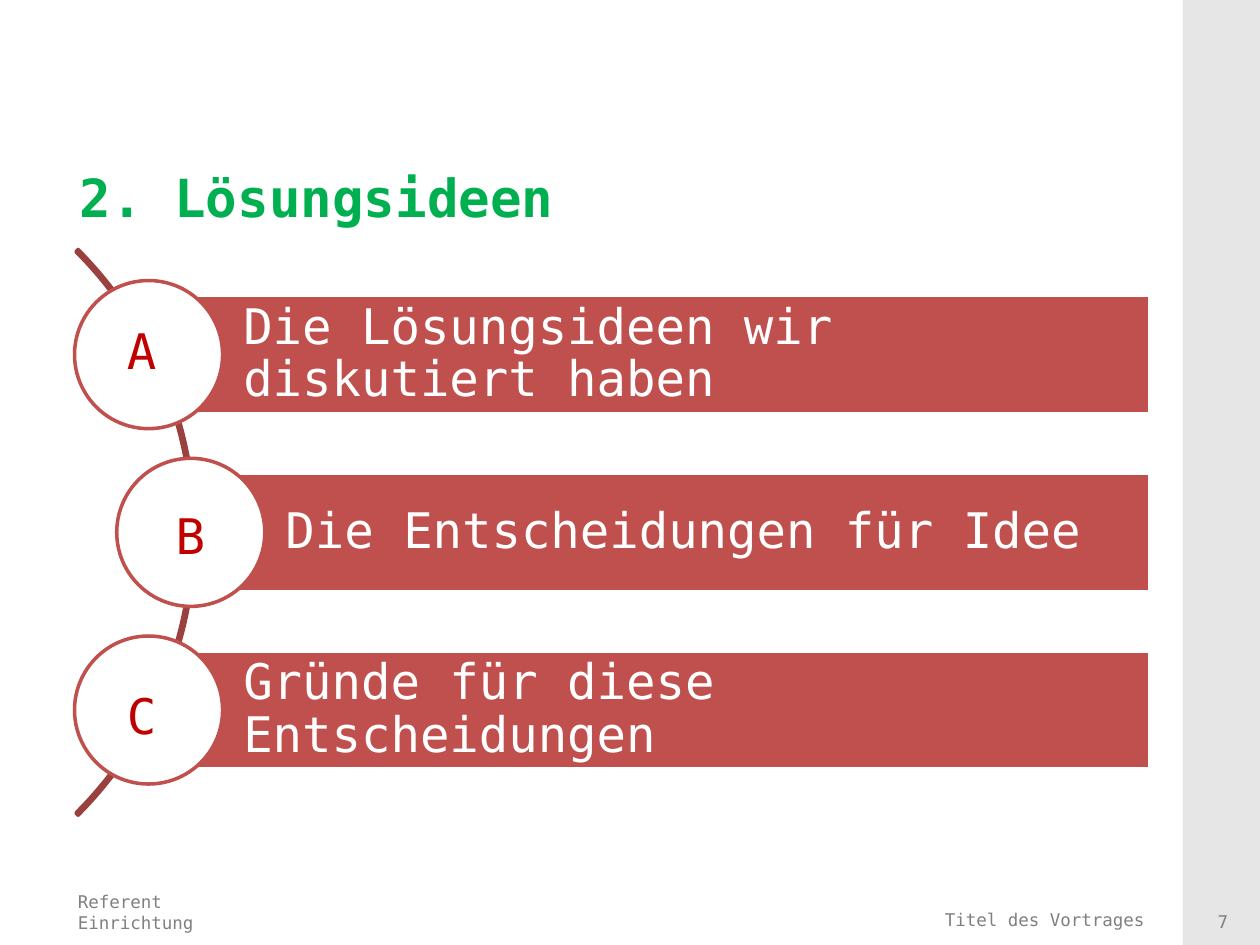
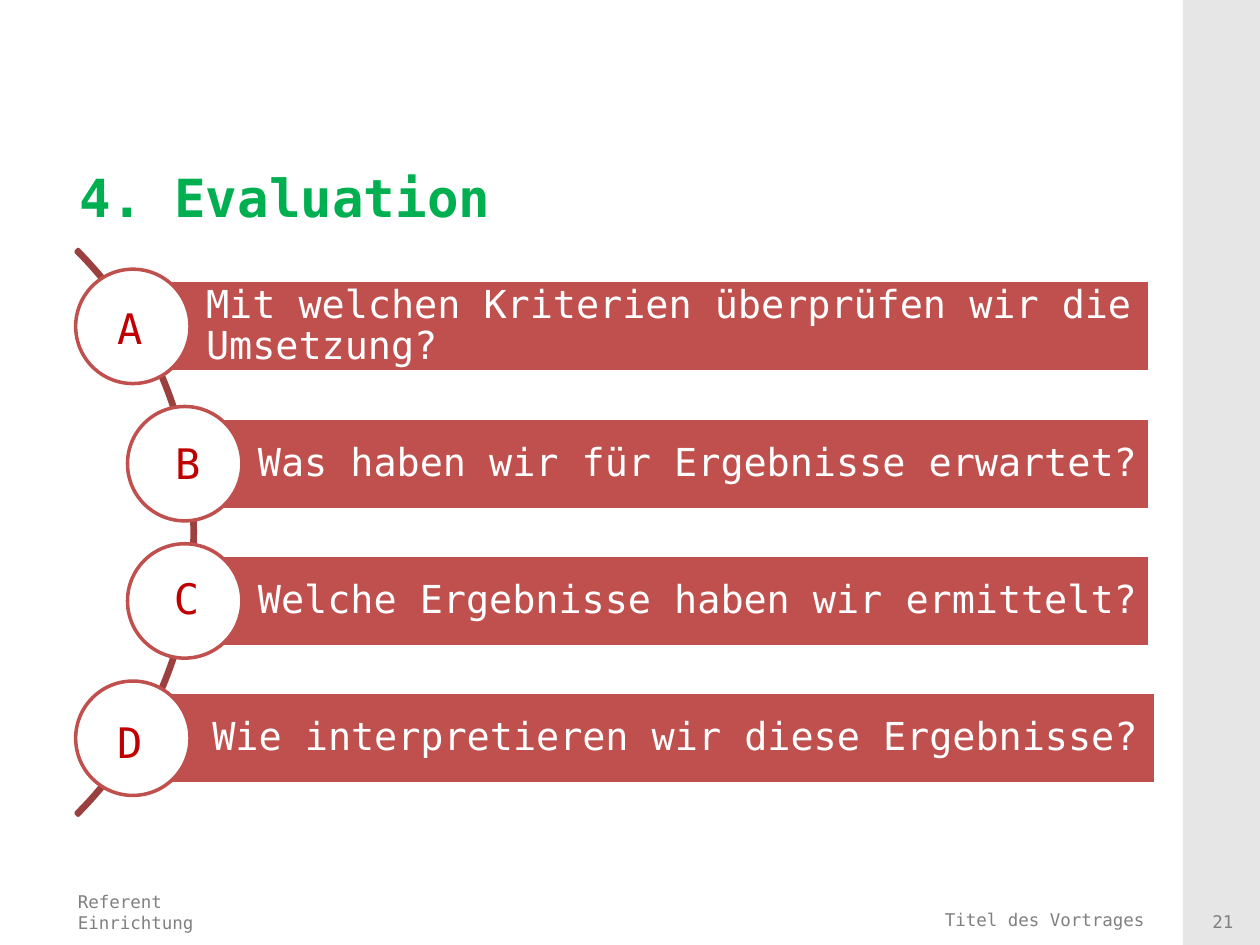
import math
from dataclasses import dataclass

from pptx import Presentation
from pptx.dml.color import RGBColor
from pptx.enum import shapes, text
from pptx.util import Pt


@dataclass(frozen=True)
class Theme:
    font: str = "DejaVu Sans Mono"
    title_color: str = "00B050"
    bar_color: str = "C0504D"
    arc_color: str = "9A403E"
    letter_color: str = "C00000"
    footer_color: str = "808080"
    band_color: str = "E6E6E6"
    white: str = "FFFFFF"
    title_size: float = 30
    footer_size: float = 10
    line_width: float = 2


THEME = Theme()
SLIDE_BOX = (0, 0, 720, 540)
TITLE_BOX = (38.2, 88.6, 622, 39.6)
DIAGRAM_BOX = (42, 135, 615, 338.4)
SHAPE = shapes.MSO_SHAPE
ALIGN = text.PP_ALIGN
ANCHOR = text.MSO_ANCHOR

# Each row: letter, wording, letter offset from the circle centre, shift of the bar
SLIDES = [
    {
        "title": "2. Lösungsideen", "number": "7",
        "bar_height": 67.7, "bar_size": 28, "letter_size": 28,
        "rows": [
            ("A", "Die Lösungsideen wir diskutiert haben", (-3.9, -2.8), 0),
            ("B", "Die Entscheidungen für Idee", (-0.2, 1.4), 0),
            ("C", "Gründe für diese Entscheidungen", (-3.9, 2.8), 0),
        ],
    },
    {
        "title": "4. Evaluation", "number": "21",
        "bar_height": 52.3, "bar_size": 22, "letter_size": 24,
        "rows": [
            ("A", "Mit welchen Kriterien überprüfen wir die Umsetzung?", (-1.8, 0.7), 0),
            ("B", "Was haben wir für Ergebnisse erwartet?", (1.8, -0.8), 0),
            ("C", "Welche Ergebnisse haben wir ermittelt?", (1.1, -2.1), 0),
            ("D", "Wie interpretieren wir diese Ergebnisse?", (-1.8, 2.2), 3.6),
        ],
    },
]


def points(box):
    return [Pt(value) for value in box]


def write(shape, wording, size, color, align=ALIGN.LEFT, anchor=ANCHOR.TOP,
          insets=(7.2, 3.6, 7.2, 3.6), line_spacing=1.0, bold=False):
    """Fill a shape's text frame, one paragraph for each line of the wording."""
    frame = shape.text_frame
    frame.text = wording
    left, top, right, bottom = points(insets)
    frame_format = {
        "word_wrap": True, "auto_size": text.MSO_AUTO_SIZE.NONE,
        "vertical_anchor": anchor, "margin_left": left, "margin_top": top,
        "margin_right": right, "margin_bottom": bottom,
    }
    for name, value in frame_format.items():
        setattr(frame, name, value)
    for paragraph in frame.paragraphs:
        paragraph.alignment = align
        paragraph.line_spacing = line_spacing
        font = paragraph.font
        for name, value in {"name": THEME.font, "size": Pt(size), "bold": bold}.items():
            setattr(font, name, value)
        font.color.rgb = RGBColor.from_string(color)


def add_text(slide, box, *args, **formats):
    write(slide.shapes.add_textbox(*points(box)), *args, **formats)


def add_shape(slide, kind, box, fill=None, line=None):
    shape = slide.shapes.add_shape(kind, *points(box))
    shape.shadow.inherit = False
    if fill:
        shape.fill.solid()
        shape.fill.fore_color.rgb = RGBColor.from_string(fill)
    else:
        shape.fill.background()
    if line:
        shape.line.color.rgb = RGBColor.from_string(line)
        shape.line.width = Pt(THEME.line_width)
    else:
        shape.line.fill.background()
    return shape


def add_frame(slide, box, number):
    """Draw the side band, both footers and the page number."""
    left, top, width, height = box
    right, bottom = left + width, top + height
    size, color = THEME.footer_size, THEME.footer_color
    add_shape(slide, SHAPE.RECTANGLE, (right - 44, top, 44, height), THEME.band_color)
    add_text(slide, (left + 37.4, bottom - 34.6, 306, 31),
             "Referent\nEinrichtung", size, color)
    add_text(slide, (right - 370.8, bottom - 31.7, 311.8, 23.8),
             "Titel des Vortrages", size, color, align=ALIGN.RIGHT,
             anchor=ANCHOR.BOTTOM, insets=(7.2, 0, 7.2, 0.5))
    add_text(slide, (right - 39.6, bottom - 23, 36.7, 19.4),
             number, size, color, align=ALIGN.CENTER)


def set_title(slide, box, wording):
    title = slide.shapes.title
    title.left, title.top, title.width, title.height = points(box)
    write(title, wording, THEME.title_size, THEME.title_color,
          insets=(7.2, 5.8, 7.2, 0), bold=True)


def add_arc_list(slide, box, rows, bar_height, bar_size, letter_size):
    """Place lettered circles along an arc, each with a bar to the right edge."""
    left, top, width, height = box
    center_x, center_y = left - 159, top + height / 2
    arc_radius, orbit = 228.6, 226
    arc = add_shape(slide, SHAPE.BLOCK_ARC,
                    (center_x - arc_radius, center_y - arc_radius,
                     2 * arc_radius, 2 * arc_radius), line=THEME.arc_color)
    for index, value in enumerate((189, 27, 0.004)):
        arc.adjustments[index] = value

    pitch, diameter = 1.5 * bar_height, 1.25 * bar_height
    inset = 0.2 * bar_size
    for index, (letter, wording, (offset_x, offset_y), shift) in enumerate(rows):
        rise = (index - (len(rows) - 1) / 2) * pitch
        x = center_x + math.sqrt(orbit ** 2 - rise ** 2)
        y = center_y + rise
        bar = add_shape(slide, SHAPE.RECTANGLE,
                        (x + shift, y - bar_height / 2, left + width - x, bar_height),
                        THEME.bar_color, THEME.white)
        write(bar, wording, bar_size, THEME.white, anchor=ANCHOR.MIDDLE,
              insets=(0.8 * bar_height, inset, inset, inset), line_spacing=0.9)
        add_shape(slide, SHAPE.OVAL,
                  (x - diameter / 2, y - diameter / 2, diameter, diameter),
                  THEME.white, THEME.bar_color)
        side = 1.45 * letter_size
        add_text(slide, (x + offset_x - side / 2, y + offset_y - side / 2, side, side),
                 letter, letter_size, THEME.letter_color,
                 align=ALIGN.CENTER, anchor=ANCHOR.MIDDLE)


def main():
    presentation = Presentation()
    presentation.slide_width, presentation.slide_height = points(SLIDE_BOX[2:])
    title_only = presentation.slide_layouts.get_by_name("Title Only")
    for content in SLIDES:
        slide = presentation.slides.add_slide(title_only)
        add_frame(slide, SLIDE_BOX, content["number"])
        set_title(slide, TITLE_BOX, content["title"])
        add_arc_list(slide, DIAGRAM_BOX, content["rows"], content["bar_height"],
                     content["bar_size"], content["letter_size"])
    presentation.save("out.pptx")


if __name__ == "__main__":
    main()
